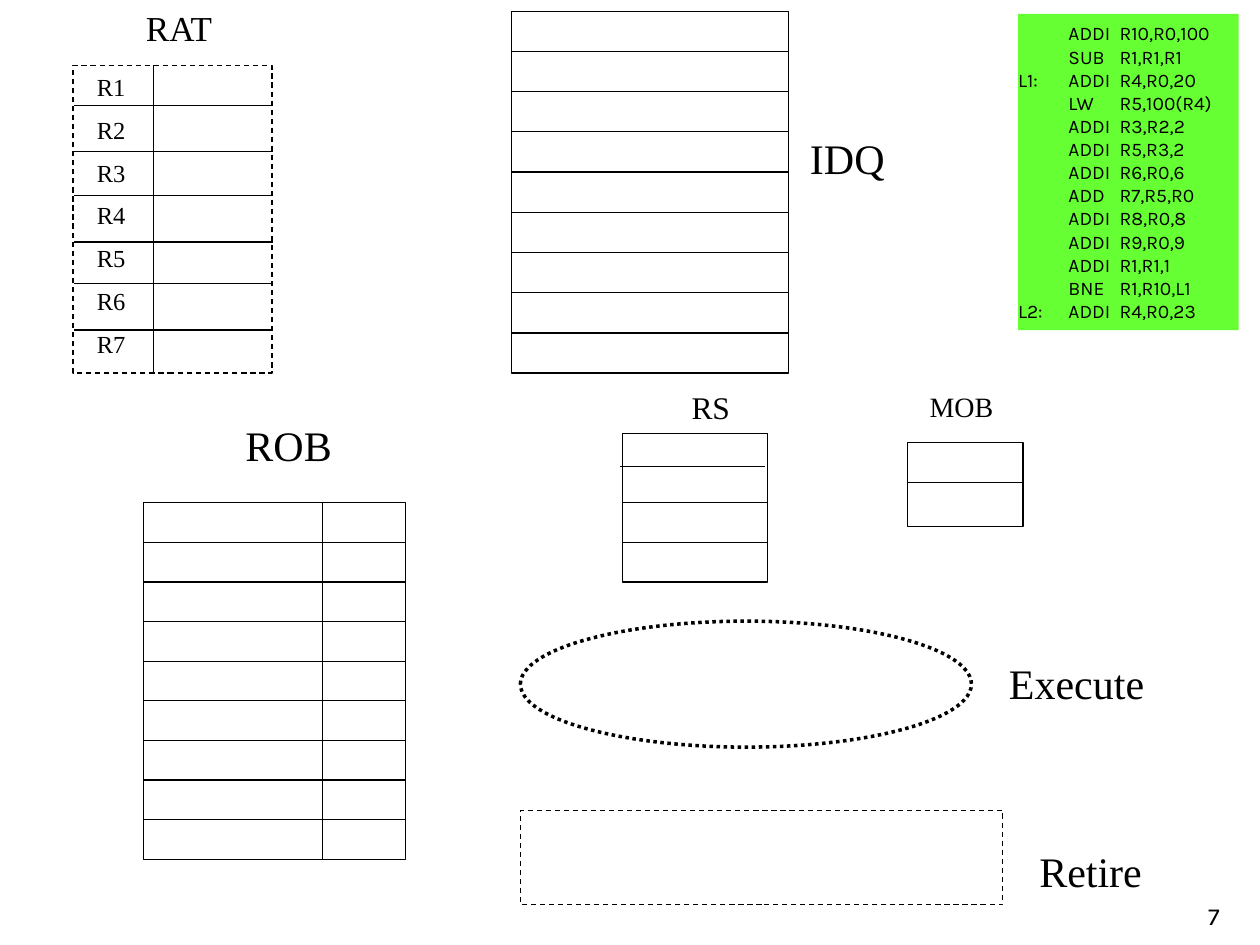
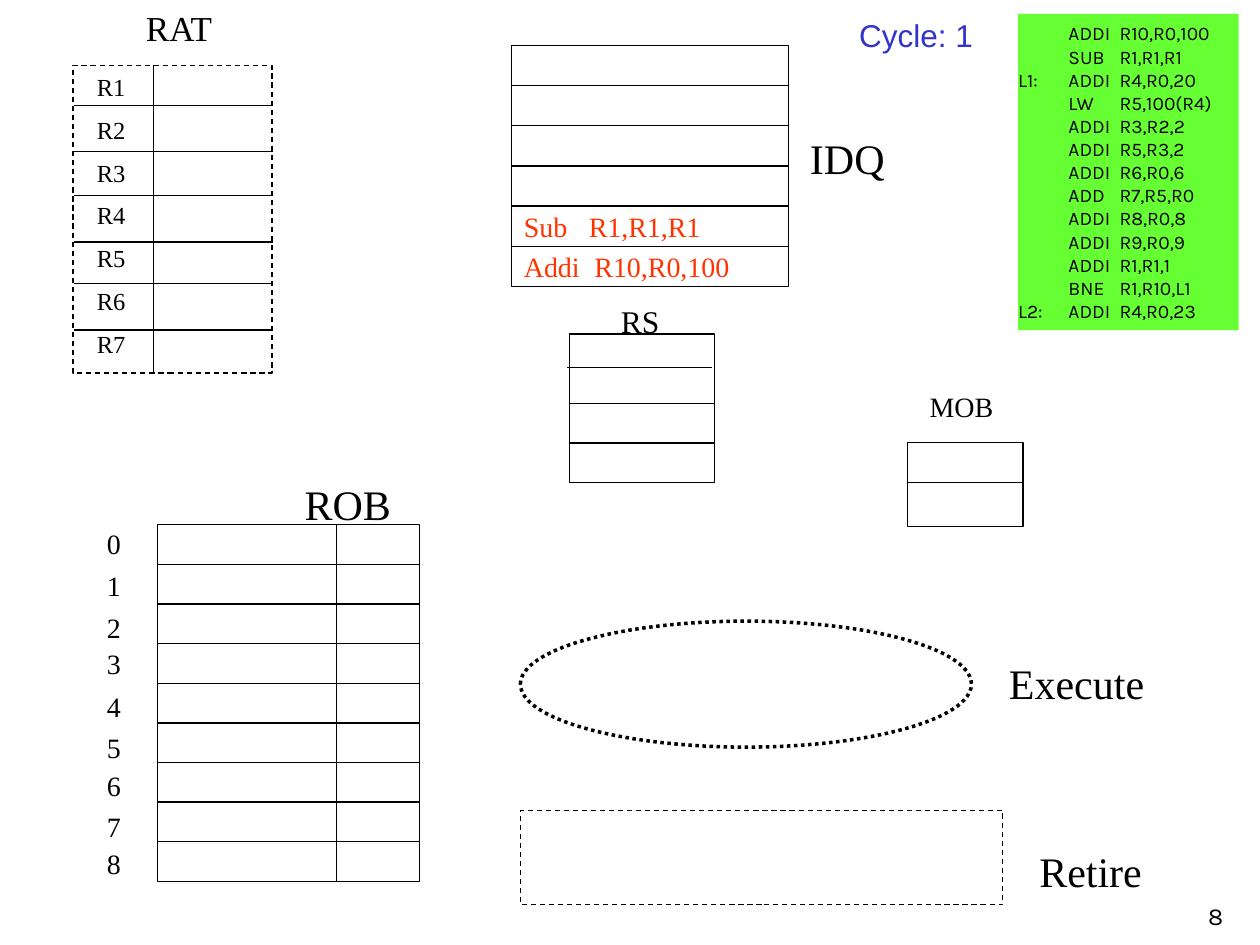
"""Build two slides of an out-of-order processor worksheet on a 100 by 75 grid."""
from lxml import etree
from pptx import Presentation, util as u
from pptx.dml.color import RGBColor
from pptx.enum import dml, shapes, text
from pptx.oxml.ns import qn

COLORS = {"ink": "000000", "code": "66FF33", "issued": "FF3300", "cycle": "3333CC"}
SERIF, SANS, LABEL = "Times New Roman", "Arial", "Karla"
RECT, OVAL = shapes.MSO_SHAPE.RECTANGLE, shapes.MSO_SHAPE.OVAL

prs = Presentation()
prs.slide_width, prs.slide_height = u.Inches(10), u.Inches(7.5)
COL, ROW = prs.slide_width / 100, prs.slide_height / 75


def put(s, words, x, y, w, h, kind=None, size=24, font=SERIF, color="ink", fill=None,
        line=0.75, dash=None, inset=0.1, gap=0, tabs=(), wrap=True):
    at = [int(v) for v in (x * COL, y * ROW, w * COL, h * ROW)]
    if kind is None:
        sp = s.shapes.add_textbox(*at)
    else:
        sp = s.shapes.add_shape(kind, *at)
        sp.shadow.inherit = False
        if fill:
            sp.fill.solid()
            sp.fill.fore_color.rgb = RGBColor.from_string(COLORS[fill])
        else:
            sp.fill.background()
        if line:
            sp.line.color.rgb = RGBColor.from_string(COLORS["ink"])
            sp.line.width = u.Pt(line)
            sp.line.dash_style = dash
        else:
            sp.line.fill.background()
    if not words:
        return
    tf = sp.text_frame
    tf.word_wrap = wrap
    tf.margin_left = tf.margin_right = u.Inches(inset)
    tf.vertical_anchor = text.MSO_ANCHOR.MIDDLE if kind else text.MSO_ANCHOR.TOP
    for i, row in enumerate(words.split("\n")):
        p = tf.paragraphs[0] if i == 0 else tf.add_paragraph()
        p.alignment = text.PP_ALIGN.LEFT
        if i and gap:
            p.space_before = u.Pt(gap)
        if tabs:
            stops = etree.SubElement(p._p.get_or_add_pPr(), qn("a:tabLst"))
            for stop in tabs:
                etree.SubElement(stops, qn("a:tab"), pos=str(int(stop * COL)), algn="l")
        r = p.add_run()
        r.text = row
        r.font.size, r.font.name = u.Pt(size), font
        r.font.color.rgb = RGBColor.from_string(COLORS[color])


def rule(s, x1, y1, x2, y2):
    ends = [int(v) for v in (x1 * COL, y1 * ROW, x2 * COL, y2 * ROW)]
    cx = s.shapes.add_connector(shapes.MSO_CONNECTOR.STRAIGHT, *ends)
    cx.line.color.rgb = RGBColor.from_string(COLORS["ink"])
    cx.line.width = u.Pt(0.75)
    etree.SubElement(cx._element.spPr, qn("a:effectLst"))


PROGRAM = """\tADDI\tR10,R0,100
\tSUB\tR1,R1,R1
L1:\tADDI\tR4,R0,20
\tLW\tR5,100(R4)
\tADDI\tR3,R2,2
\tADDI\tR5,R3,2
\tADDI\tR6,R0,6
\tADD\tR7,R5,R0
\tADDI\tR8,R0,8
\tADDI\tR9,R0,9
\tADDI\tR1,R1,1
\tBNE\tR1,R10,L1
L2:\tADDI\tR4,R0,23"""
REGISTERS = "\n".join(f"R{n}" for n in range(1, 8))
PITCH = 3.19

pages = [
    dict(number="7", rob=(11.4, 39.9), rob_label=(18.5, 32.8), rs=(49.4, 34.4),
         rs_label=(53.9, 30.3), idq_top=0.9, idq=[""] * 9, tags=[], cycle=""),
    dict(number="8", rob=(12.5, 41.65), rob_label=(23.2, 37.5), rs=(45.2, 26.5),
         rs_label=(48.3, 23.5), idq_top=3.6,
         idq=[""] * 4 + ["Sub\tR1,R1,R1", "Addi\tR10,R0,100"],
         tags=[41.3, 44.6, 48, 50.8, 54.2, 57.5, 60.5, 63.8, 66.7], cycle="Cycle: 1"),
]

for page in pages:
    s = prs.slides.add_slide(prs.slide_layouts[6])
    put(s, page["number"], 94.9, 71, 5, 3.4, size=14, font=LABEL)

    put(s, "", 72, 35.1, 9.2, 6.7, RECT)
    rule(s, 72, 38.3, 81.2, 38.3)
    put(s, "MOB", 72.8, 30.4, 13.3, 3.7, size=16)

    put(s, "", 41.3, 49.3, 35.8, 10, OVAL, line=2, dash=dml.MSO_LINE.ROUND_DOT)
    put(s, "Execute", 79.1, 51.7, 15, 5)
    put(s, "", 41.3, 64.3, 38.3, 7.5, RECT, dash=dml.MSO_LINE.DASH)
    put(s, "Retire", 81.5, 66.6, 14.2, 5)

    x, y = page["rob"]
    put(s, "", x, y, 20.8, 28.3, RECT)
    for i in range(1, 9):
        rule(s, x, y + i * 28.3 / 9, x + 20.8, y + i * 28.3 / 9)
    rule(s, x + 14.2, y, x + 14.2, y + 28.3)
    put(s, "ROB", *page["rob_label"], 10, 5)
    for i, top in enumerate(page["tags"]):
        put(s, str(i), 7.5, top, 3.7, 3.7, size=16)

    put(s, "", 5.8, 5.2, 15.8, 24.4, RECT, dash=dml.MSO_LINE.DASH)
    put(s, "RAT", 10.6, 0, 7.6, 4.3, size=20, wrap=False)
    put(s, REGISTERS, 6.7, 5.2, 6.7, 24.3, size=14, gap=7.7)
    for y in (8.4, 12, 15.5, 19.2, 22.5, 26.2):
        rule(s, 5.9, y, 21.7, y)
    rule(s, 12.2, 5.2, 12.2, 29.6)

    x, y = page["rs"]
    put(s, "", x, y, 11.5, 11.8, RECT)
    for shift, drop in ((-0.2, 2.65), (0, 5.5), (0, 8.65)):
        rule(s, x + shift, y + drop, x + shift + 11.5, y + drop)
    put(s, "RS", *page["rs_label"], 11.7, 4, size=18)

    for i, entry in enumerate(page["idq"]):
        stop = 5.6 if entry.startswith("Addi") else 5.15
        put(s, entry, 40.6, page["idq_top"] + i * PITCH, 22, PITCH, RECT,
            size=16, color="issued", tabs=[stop])
    put(s, "IDQ", 63.3, 10, 25.8, 5)

    put(s, PROGRAM, 80.8, 1.1, 17.5, 25.1, RECT, size=11, font=LABEL, fill="code",
        line=0, inset=0, tabs=[4, 8.05])
    put(s, page["cycle"], 67.2, 0.8, 11.1, 4, size=18, font=SANS, color="cycle", wrap=False) \
        if page["cycle"] else None

prs.save("out.pptx")
